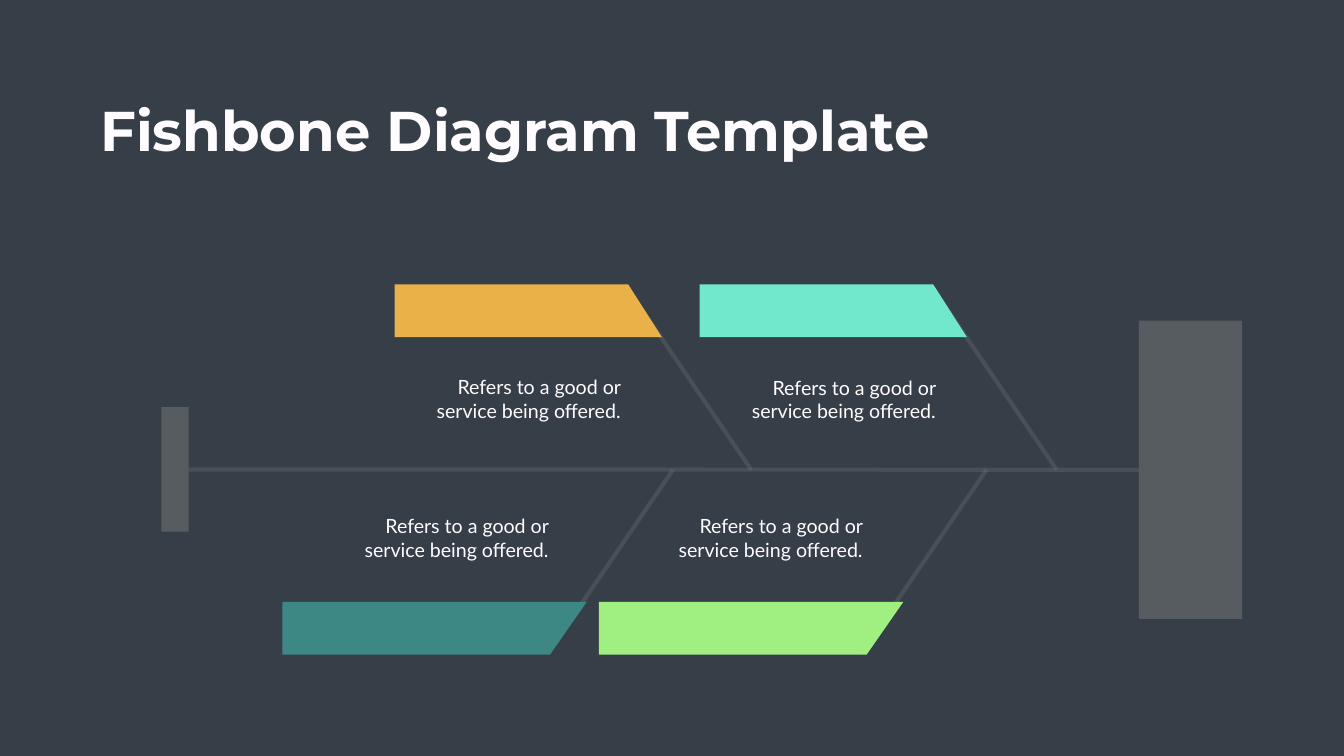
from pptx import Presentation
from pptx.dml.color import RGBColor
from pptx.enum.shapes import MSO_CONNECTOR, MSO_SHAPE
from pptx.enum.text import MSO_AUTO_SIZE, PP_ALIGN
from pptx.oxml.ns import qn
from pptx.util import Inches, Pt
from lxml.etree import SubElement

BACKGROUND = RGBColor(0x36, 0x3E, 0x48)
WHITE = RGBColor(0xFE, 0xFC, 0xFF)
GRAY = RGBColor(0x80, 0x80, 0x80)
ORANGE = RGBColor(0xEA, 0xB1, 0x49)
AQUA = RGBColor(0x71, 0xE8, 0xCC)
TEAL = RGBColor(0x3D, 0x88, 0x84)
GREEN = RGBColor(0xA0, 0xF0, 0x81)

SPINE_Y = 9.32
BANNER_HEIGHT = 1.05
NOTE = "Refers to a good or service being offered."

# Upper and lower rows: banner top, top edge, bottom edge, rib's outer end, rib's run
UPPER = (5.64, 4.63, 5.3, 5.65, 2.5)
LOWER = (11.94, 6.04, 5.31, 12.98, 2.5)

# Row, banner left, colour, where the rib meets the spine, note left, note top
BONES = [
    (UPPER, 7.83, ORANGE, 14.9, 8.48, 7.39),
    (LOWER, 5.6, TEAL, 13.35, 7.05, 10.15),
    (LOWER, 11.88, GREEN, 19.57, 13.28, 10.15),
    (UPPER, 13.88, AQUA, 20.96, 14.73, 7.4),
]


class FishbonePage:
    def __init__(self, page):
        self.shapes = page.shapes
        page.background.fill.solid()
        page.background.fill.fore_color.rgb = BACKGROUND

    def set_opacity(self, shape, percent):
        for color in shape.element.spPr.iter(qn("a:srgbClr")):
            SubElement(color, qn("a:alpha"), val=str(percent * 1000))

    def paint(self, shape, color):
        shape.shadow.inherit = False
        shape.fill.solid()
        shape.fill.fore_color.rgb = color
        shape.line.fill.background()

    def block(self, left, top, width, height):
        shape = self.shapes.add_shape(
            MSO_SHAPE.RECTANGLE, Inches(left), Inches(top), Inches(width), Inches(height))
        self.paint(shape, GRAY)
        self.set_opacity(shape, 46)
        return shape

    def line(self, start_x, start_y, end_x, end_y):
        connector = self.shapes.add_connector(
            MSO_CONNECTOR.STRAIGHT,
            Inches(start_x), Inches(start_y), Inches(end_x), Inches(end_y))
        connector.line.color.rgb = GRAY
        connector.line.width = Pt(6)
        self.set_opacity(connector, 25)
        SubElement(connector.element.spPr, qn("a:effectLst"))
        return connector

    def banner(self, left, top, top_edge, bottom_edge, color):
        """Draw a bar with a slanted right end."""
        bottom = top + BANNER_HEIGHT
        builder = self.shapes.build_freeform(Inches(left), Inches(top))
        builder.add_line_segments([
            (Inches(left + top_edge), Inches(top)),
            (Inches(left + bottom_edge), Inches(bottom)),
            (Inches(left), Inches(bottom)),
        ])
        self.paint(builder.convert_to_shape(), color)

    def text(self, words, left, top, width, height, font, size,
             bold=False, wrap=True, align=PP_ALIGN.LEFT):
        box = self.shapes.add_textbox(
            Inches(left), Inches(top), Inches(width), Inches(height))
        frame = box.text_frame
        frame.word_wrap = wrap
        frame.auto_size = MSO_AUTO_SIZE.SHAPE_TO_FIT_TEXT
        para = frame.paragraphs[0]
        para.text = words
        para.alignment = align
        para.font.name = font
        para.font.size = Pt(size)
        para.font.bold = bold
        para.font.color.rgb = WHITE


def main():
    deck = Presentation()
    deck.slide_width, deck.slide_height = Inches(26.66), Inches(15)
    page = FishbonePage(deck.slides.add_slide(deck.slide_layouts[6]))

    tail = page.block(3.2, 8.08, 0.54, 2.47)
    head = page.block(22.59, 6.36, 2.05, 5.92)
    spine = page.line(3.74, SPINE_Y, 22.59, SPINE_Y)
    spine.begin_connect(tail, 3)
    spine.end_connect(head, 1)

    for row, _, _, joint, _, _ in BONES:
        _, _, _, outer_y, run = row
        page.line(joint, SPINE_Y, joint - run, outer_y)
    for row, left, color, _, _, _ in BONES:
        top, top_edge, bottom_edge, _, _ = row
        page.banner(left, top, top_edge, bottom_edge, color)

    page.text("Fishbone Diagram Template", 1.89, 1.85, 16.71, 1.45,
              "Montserrat", 80, bold=True, wrap=False)
    for _, _, _, _, left, top in BONES:
        page.text(NOTE, left, top, 3.93, 1.04, "Lato", 28, align=PP_ALIGN.RIGHT)

    deck.save("out.pptx")


if __name__ == "__main__":
    main()
